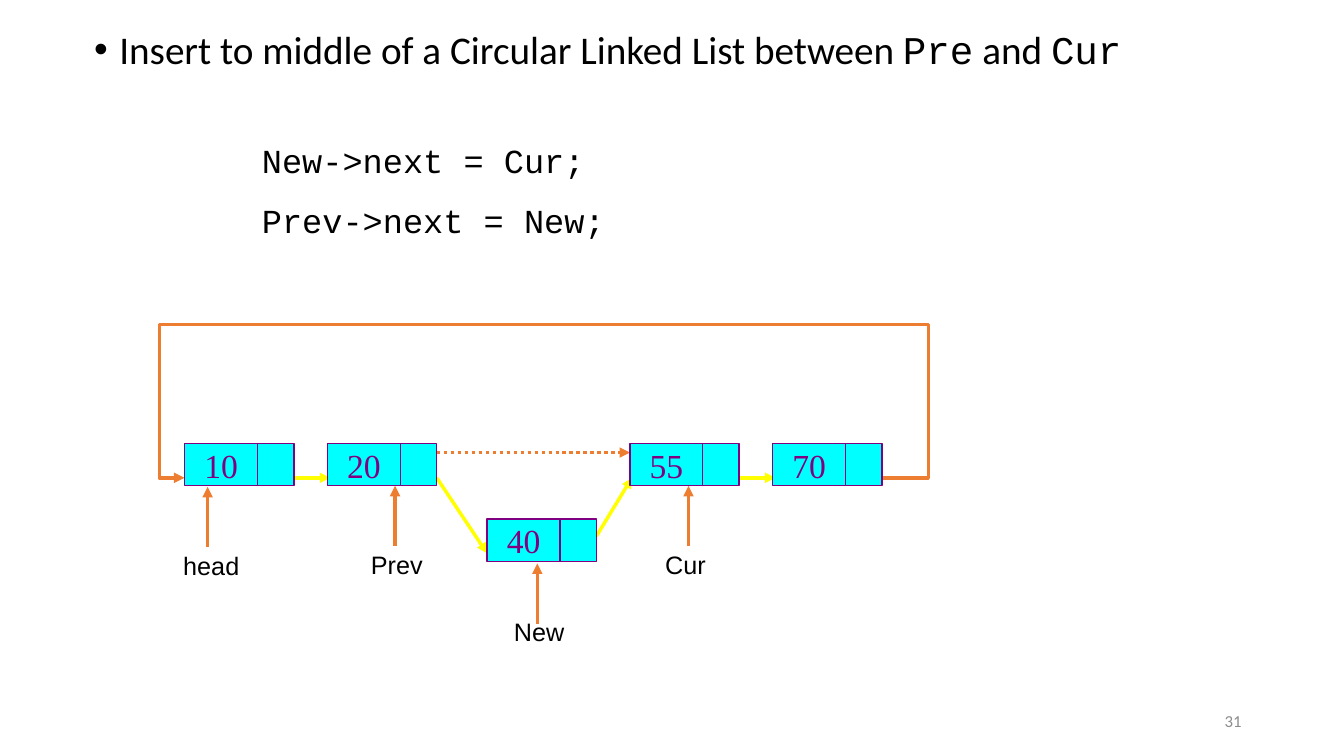
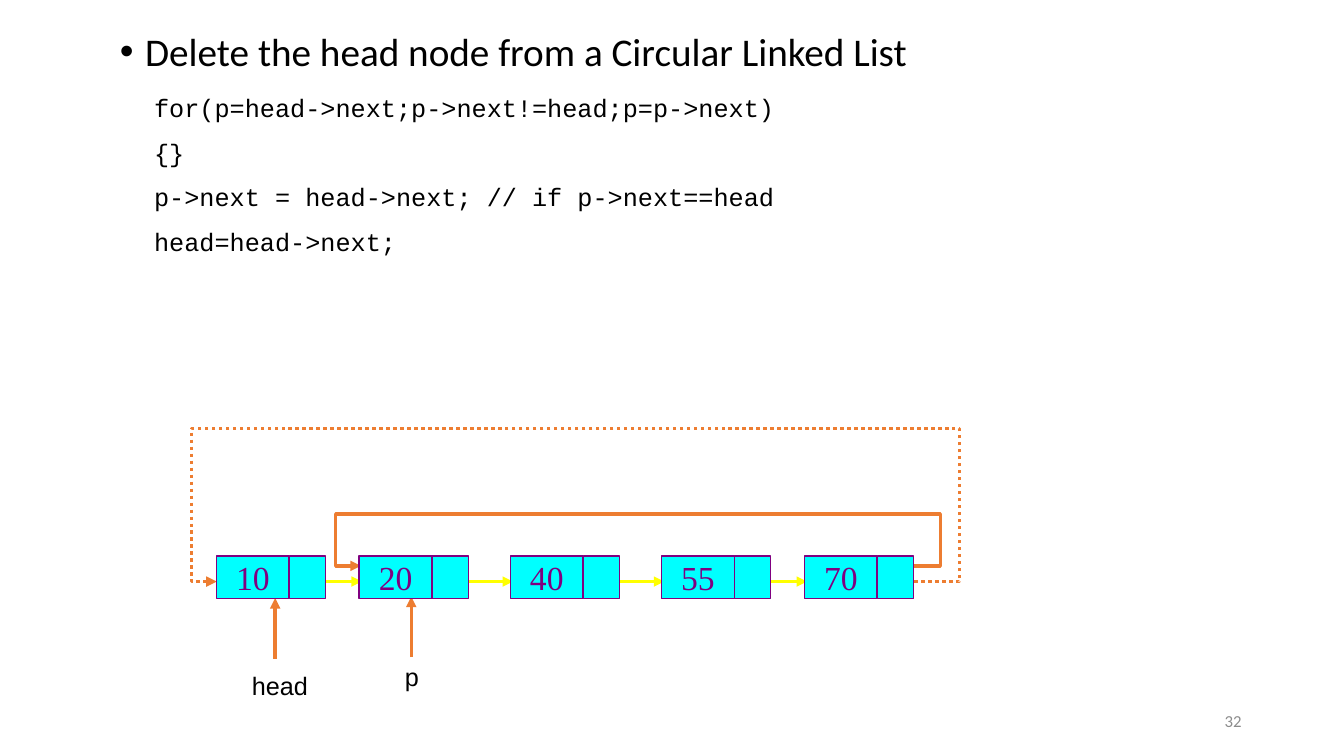
from lxml import etree
from pptx import Presentation
from pptx.dml.color import RGBColor
from pptx.enum.dml import MSO_LINE
from pptx.enum.shapes import MSO_CONNECTOR, MSO_SHAPE
from pptx.enum.text import MSO_ANCHOR, PP_ALIGN
from pptx.oxml.ns import qn
from pptx.util import Pt

BLACK = RGBColor(0x00, 0x00, 0x00)
GREY = RGBColor(0x8C, 0x8C, 0x8C)
CYAN = RGBColor(0x00, 0xFF, 0xFF)
PURPLE = RGBColor(0x80, 0x00, 0x80)
YELLOW = RGBColor(0xFF, 0xFF, 0x00)
ORANGE = RGBColor(0xED, 0x7D, 0x31)

STRAIGHT = MSO_CONNECTOR.STRAIGHT
RECTANGLE = MSO_SHAPE.RECTANGLE
DOTTED = MSO_LINE.ROUND_DOT
MIDDLE = MSO_ANCHOR.MIDDLE
CENTER, RIGHT = PP_ALIGN.CENTER, PP_ALIGN.RIGHT

HEADING = {"name": "Calibri", "size": Pt(28)}
HEADING_CODE = {"name": "Courier New", "size": Pt(28)}
LABEL = {"name": "Arial", "size": Pt(18)}
NUMBER = {"name": "Calibri", "size": Pt(12)}
VALUE = {"name": "Times New Roman", "size": Pt(24)}

VALUE_WIDTH, NEXT_WIDTH, NODE_HEIGHT = 52, 26, 30.2
LINK_LENGTH, LINK_OVERLAP = 31.7, 1.9
POINTER_LENGTH = 43.2


class ListDeck:
    def __init__(self):
        self.deck = Presentation()
        self.deck.slide_width, self.deck.slide_height = Pt(960), Pt(540)
        self.page = None

    def add_page(self, number):
        self.page = self.deck.slides.add_slide(self.deck.slide_layouts[1])
        title = self.page.shapes.title
        title.element.getparent().remove(title.element)
        frame = self.text_box(678, 500.4, 216, 28.8)
        frame.vertical_anchor = MIDDLE
        para = frame.paragraphs[0]
        para.alignment = RIGHT
        self.add_span(para, str(number), NUMBER, GREY)

    def add_span(self, para, text, style, color=BLACK):
        span = para.add_run()
        span.text = text
        for key, value in style.items():
            setattr(span.font, key, value)
        span.font.color.rgb = color

    def text_box(self, left, top, width, height):
        box = self.page.shapes.add_textbox(Pt(left), Pt(top), Pt(width), Pt(height))
        box.text_frame.word_wrap = True
        return box.text_frame

    def heading(self, left, top, width, parts):
        body = self.page.placeholders[1]
        place = {"left": left, "top": top, "width": width, "height": 342}
        for key, value in place.items():
            setattr(body, key, Pt(value))
        para = body.text_frame.paragraphs[0]
        para.line_spacing = 0.9
        para.space_before = Pt(0)
        properties = para._p.get_or_add_pPr()
        properties.set("marL", str(Pt(18)))
        properties.set("indent", str(-Pt(18)))
        for text, style in parts:
            self.add_span(para, text, style)

    def code(self, left, top, width, height, size, lines):
        frame = self.text_box(left, top, width, height)
        for index, line in enumerate(lines):
            para = frame.add_paragraph() if index else frame.paragraphs[0]
            para.space_before = Pt(size * 0.57 if index else 0)
            self.add_span(para, line, {"name": "Courier New", "size": Pt(size)})

    def style_arrow(self, line, color, dotted):
        line.color.rgb = color
        line.width = Pt(2.5)
        if dotted:
            line.dash_style = DOTTED
        etree.SubElement(line._get_or_add_ln(), qn("a:tailEnd"), type="triangle")

    def arrow(self, start, end, color, dotted=False):
        ends = [Pt(value) for value in (*start, *end)]
        connector = self.page.shapes.add_connector(STRAIGHT, *ends)
        self.style_arrow(connector.line, color, dotted)
        etree.SubElement(connector.element.spPr, qn("a:effectLst"))

    def link(self, node_left, y):
        end = node_left + LINK_OVERLAP
        self.arrow((end - LINK_LENGTH, y), (end, y), YELLOW)

    def pointer(self, text, x, tip, label_left, label_top, label_width):
        self.arrow((x, tip + POINTER_LENGTH), (x, tip), ORANGE)
        frame = self.text_box(label_left, label_top, label_width, 28.8)
        self.add_span(frame.paragraphs[0], text, LABEL)

    def loop(self, start, end, y, rise, reach, dotted=False):
        right, left, top = start + reach, end - 18, y - rise
        corners = [(right, y), (right, top), (left, top), (left, y), (end, y)]
        builder = self.page.shapes.build_freeform(Pt(start), Pt(y))
        builder.add_line_segments([(Pt(x), Pt(v)) for x, v in corners], close=False)
        wire = builder.convert_to_shape()
        wire.fill.background()
        wire.shadow.inherit = False
        self.style_arrow(wire.line, ORANGE, dotted)

    def node(self, value, left, top):
        group = self.page.shapes.add_group_shape()
        cells = [(left, VALUE_WIDTH, value), (left + VALUE_WIDTH, NEXT_WIDTH, "")]
        for x, width, text in cells:
            cell = group.shapes.add_shape(RECTANGLE, Pt(x), Pt(top), Pt(width), Pt(NODE_HEIGHT))
            cell.shadow.inherit = False
            cell.fill.solid()
            cell.fill.fore_color.rgb = CYAN
            cell.line.color.rgb = PURPLE
            cell.line.width = Pt(1)
            if text:
                frame = cell.text_frame
                layout = {"word_wrap": False, "vertical_anchor": MIDDLE,
                          "margin_top": Pt(0), "margin_bottom": Pt(0)}
                for key, setting in layout.items():
                    setattr(frame, key, setting)
                frame.paragraphs[0].alignment = CENTER
                self.add_span(frame.paragraphs[0], text, VALUE, PURPLE)


def insert_page(show):
    show.add_page(31)
    show.heading(60, 18, 834, [
        ("Insert to middle of a Circular Linked List between ", HEADING),
        ("Pre", HEADING_CODE), (" and ", HEADING), ("Cur", HEADING_CODE)])
    show.code(180, 96.5, 360, 79.2, 24, ["New->next = Cur;", "Prev->next = New;"])
    row, link_y = 316.8, 341.3
    nodes = {"10": (132, row), "20": (234, row), "40": (348, row + 54),
             "55": (450, row), "70": (552, row)}
    for value in ("20", "70"):
        show.link(nodes[value][0], link_y)
    show.arrow((312, link_y), (348, 395.3), YELLOW)
    show.arrow((426, 383), (451.4, link_y), YELLOW)
    show.arrow((312, 323.3), (450, 323.3), ORANGE, dotted=True)
    show.loop(630.7, 131.8, link_y, 109.4, 32.4)
    for pointer in [("head", 148.3, 347.8, 123.8, 389.5, 90),
                    ("Prev", 282.2, 347, 257.8, 388.8, 60),
                    ("New", 383.8, 402.5, 360, 437, 60),
                    ("Cur", 491.8, 347, 468, 388.8, 90)]:
        show.pointer(*pointer)
    for value, place in nodes.items():
        show.node(value, *place)


def delete_page(show):
    show.add_page(32)
    show.heading(78.5, 19.4, 648, [
        ("Delete the head node from a Circular Linked List", HEADING)])
    show.code(103, 62.6, 606, 127.4, 18, [
        "for(p=head->next;p->next!=head;p=p->next)",
        "{}",
        "p->next = head->next; // if p->next==head",
        "head=head->next;"])
    row, link_y = 397.2, 415.4
    nodes = {"10": 154.6, "20": 256.6, "40": 364.6, "55": 472.6, "70": 574.6}
    for left in list(nodes.values())[1:]:
        show.link(left, link_y)
    show.loop(653, 154.8, link_y, 109.4, 32.4, dotted=True)
    show.loop(653, 257.8, 404.2, 37, 18.7)
    show.pointer("p", 293.8, 426.2, 282.2, 468.7, 30)
    show.pointer("head", 196.6, 427.2, 172.8, 475.2, 60)
    for value, left in nodes.items():
        show.node(value, left, row)


def main():
    show = ListDeck()
    insert_page(show)
    delete_page(show)
    show.deck.save("out.pptx")


if __name__ == "__main__":
    main()
